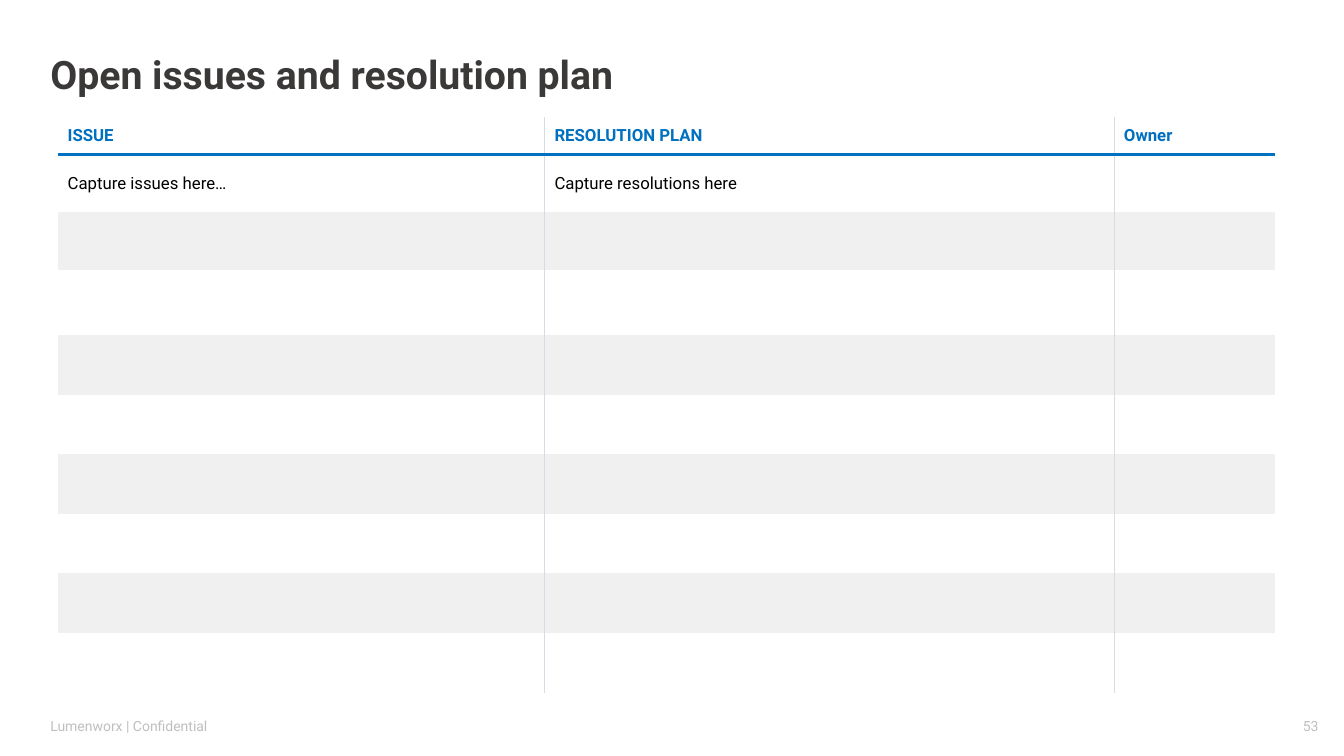
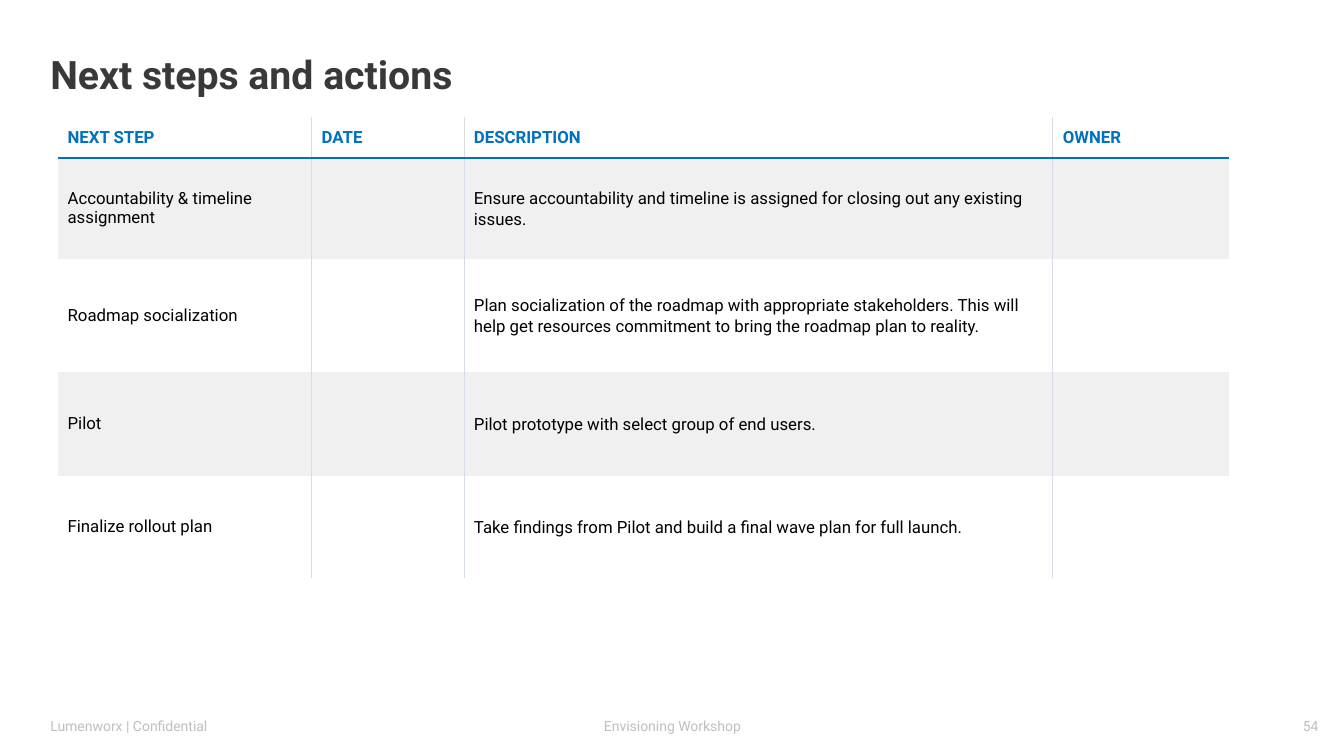
from lxml.etree import SubElement
from pptx import Presentation
from pptx.dml.color import RGBColor
from pptx.enum.text import MSO_ANCHOR, PP_ALIGN
from pptx.oxml.ns import qn
from pptx.util import Cm, Pt

FONT = "Roboto"
COLOURS = {
    "title": "3B3838",
    "header": "0070C0",
    "body": "000000",
    "footer": "BFBFBF",
    "divider": "D6DCE5",
    "band": "F0F0F0",
}
DIVIDER = (COLOURS["divider"], 0.5)
HEADER_RULE = (COLOURS["header"], 2.25)

TITLE_BOX = (1.02, 0.94, 31.67, 1.85)
TABLE_LEFT, TABLE_TOP = 1.45, 2.95
FOOTER_TOP, FOOTER_HEIGHT = 17.96, 1.02
OWNER_LINE = "Lumenworx | Confidential"
# (left, width, alignment) of each footer part
FOOTER_SLOTS = [
    (1.02, 8.94, PP_ALIGN.LEFT),
    (11.23, 11.43, PP_ALIGN.CENTER),
    (23.93, 9.55, PP_ALIGN.RIGHT),
]

SLIDES = [
    {
        "title": "Open issues and resolution plan",
        "footer": (OWNER_LINE, "", "53"),
        "columns": [12.27, 14.35, 4.06],
        "heights": [0.94, 1.46, 1.46, 1.64] + [1.5] * 6,
        "first_band": 2,
        "loose_column": 1,
        "rows": [
            ("ISSUE", "RESOLUTION PLAN", "Owner"),
            ("Capture issues here…", "Capture resolutions here", ""),
        ] + [("", "", "")] * 8,
    },
    {
        "title": "Next steps and actions",
        "footer": (OWNER_LINE, "Envisioning Workshop", "54"),
        "columns": [6.4, 3.84, 14.84, 4.45],
        "heights": [1.03, 2.54, 2.85, 2.62, 2.57],
        "first_band": 1,
        "loose_column": 2,
        "rows": [
            ("NEXT STEP", "DATE", "DESCRIPTION", "OWNER"),
            ("Accountability & timeline assignment", "",
             "Ensure accountability and timeline is assigned for closing out "
             "any existing issues.", ""),
            ("Roadmap socialization", "",
             "Plan socialization of the roadmap with appropriate stakeholders. "
             "This will help get resources commitment to bring the roadmap "
             "plan to reality.", ""),
            ("Pilot", "", "Pilot prototype with select group of end users.", ""),
            ("Finalize rollout plan", "",
             "Take findings from Pilot and build a final wave plan for full "
             "launch.", ""),
        ],
    },
]


def write(paragraph, text, size, colour, bold=False):
    run = paragraph.add_run()
    run.text = text
    run.font.name = FONT
    run.font.size = Pt(size)
    run.font.bold = bold
    run.font.color.rgb = RGBColor.from_string(COLOURS[colour])


def add_text(slide, box, text, size, colour, bold=False,
             align=PP_ALIGN.LEFT, anchor=MSO_ANCHOR.TOP):
    frame = slide.shapes.add_textbox(*map(Cm, box)).text_frame
    frame.word_wrap = True
    frame.vertical_anchor = anchor
    frame.paragraphs[0].alignment = align
    write(frame.paragraphs[0], text, size, colour, bold)


def set_borders(cell, **edges):
    """Draw each given edge as (colour, points) and clear the other edges."""
    properties = cell._tc.get_or_add_tcPr()
    for position, side in enumerate("LRTB"):
        line = SubElement(properties, qn(f"a:ln{side}"))
        properties.insert(position, line)  # borders come before the fill
        edge = edges.get(side)
        if edge:
            colour, points = edge
            line.set("w", str(Pt(points)))
            solid = SubElement(line, qn("a:solidFill"))
            SubElement(solid, qn("a:srgbClr")).set("val", colour)
        else:
            SubElement(line, qn("a:noFill"))


def add_grid(slide, content):
    rows, columns, heights = content["rows"], content["columns"], content["heights"]
    table = slide.shapes.add_table(
        len(rows), len(columns), Cm(TABLE_LEFT), Cm(TABLE_TOP),
        Cm(sum(columns)), Cm(sum(heights))).table
    table.first_row = table.horz_banding = False
    for column, width in zip(table.columns, columns):
        column.width = Cm(width)
    for r, texts in enumerate(rows):
        table.rows[r].height = Cm(heights[r])
        is_header = r == 0
        is_band = not is_header and (r - content["first_band"]) % 2 == 0
        for c, text in enumerate(texts):
            cell = table.cell(r, c)
            cell.vertical_anchor = MSO_ANCHOR.MIDDLE
            if is_band:
                cell.fill.solid()
                cell.fill.fore_color.rgb = RGBColor.from_string(COLOURS["band"])
            else:
                cell.fill.background()
            set_borders(
                cell,
                L=DIVIDER if c > 0 else None,
                R=DIVIDER if c < len(columns) - 1 else None,
                T=HEADER_RULE if r == 1 else None,
                B=HEADER_RULE if is_header else None)
            if text:
                paragraph = cell.text_frame.paragraphs[0]
                if c == content["loose_column"] and not is_header:
                    paragraph.line_spacing = 1.07
                write(paragraph, text, 12, "header" if is_header else "body", is_header)


def main():
    deck = Presentation()
    deck.slide_width, deck.slide_height = Cm(33.87), Cm(19.05)
    blank = deck.slide_layouts[6]
    for content in SLIDES:
        slide = deck.slides.add_slide(blank)
        add_text(slide, TITLE_BOX, content["title"], 28, "title", bold=True,
                 anchor=MSO_ANCHOR.MIDDLE)
        add_grid(slide, content)
        for (left, width, align), text in zip(FOOTER_SLOTS, content["footer"]):
            if text:
                add_text(slide, (left, FOOTER_TOP, width, FOOTER_HEIGHT), text,
                         10, "footer", align=align)
    deck.save("out.pptx")


if __name__ == "__main__":
    main()
